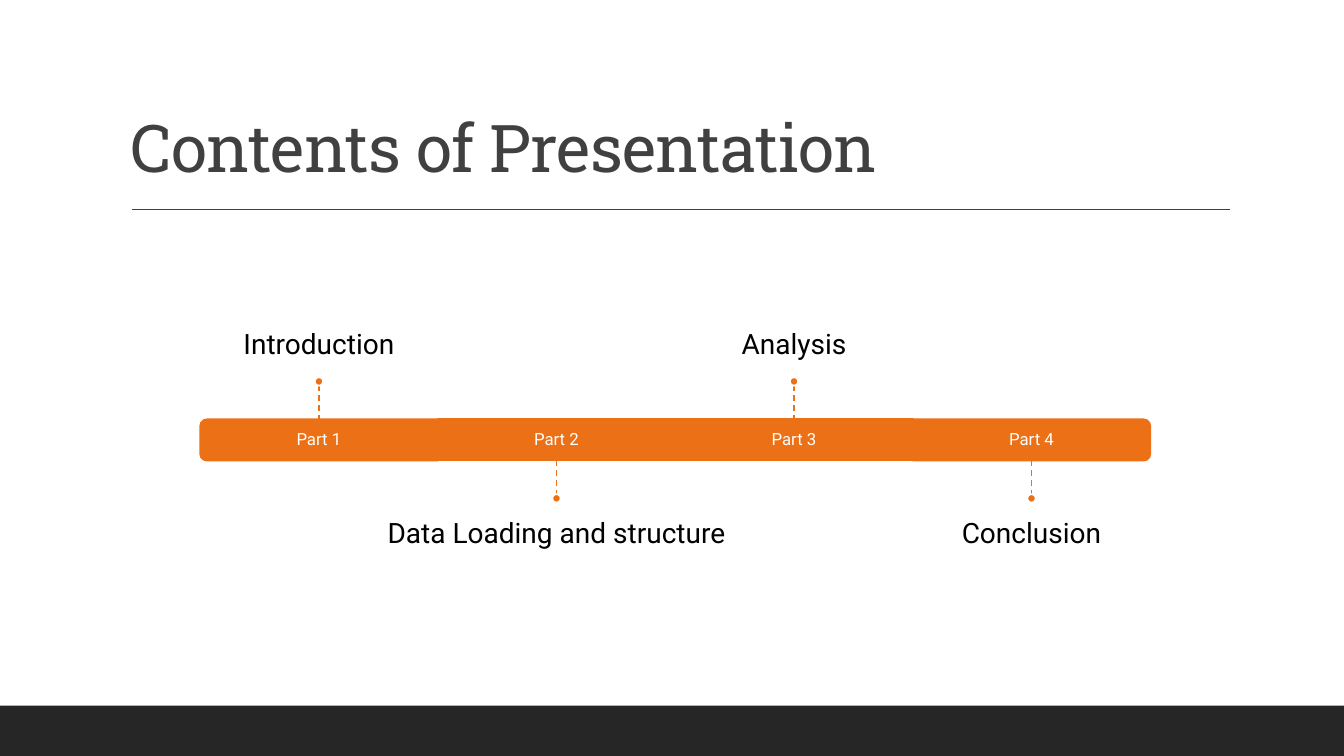
from lxml.etree import SubElement
from pptx import Presentation
from pptx.dml.color import RGBColor
from pptx.enum.dml import MSO_LINE
from pptx.enum.shapes import MSO_CONNECTOR, MSO_SHAPE as SHAPE
from pptx.enum.text import MSO_ANCHOR as ANCHOR, PP_ALIGN as ALIGN
from pptx.oxml.ns import qn
from pptx.util import Pt

ORANGE = RGBColor(0xEC, 0x70, 0x16)
WHITE = RGBColor(0xFF, 0xFF, 0xFF)
BLACK = RGBColor(0, 0, 0)
CHARCOAL = RGBColor(0x26, 0x26, 0x26)
GRAY = RGBColor(0x40, 0x40, 0x40)

PARTS = ["Introduction", "Data Loading and structure", "Analysis", "Conclusion"]
BAR_LEFT, BAR_TOP, BAR_HEIGHT, PART_WIDTH = 143, 299.5, 29.5, 169.67
STEM, DOT = 24, 6
LABEL_WIDTH, LABEL_HEIGHT, LABEL_GAP = 283, 104.5, 12


class TimelineSlide:
    """Draws styled elements on one slide, with all lengths in points."""

    def __init__(self, slide):
        self.shapes = slide.shapes

    def add_shape(self, kind, left, top, width, height, fill, outline=None, rotation=0):
        shape = self.shapes.add_shape(kind, Pt(left), Pt(top), Pt(width), Pt(height))
        shape.shadow.inherit = False
        shape.rotation = rotation
        shape.fill.solid()
        shape.fill.fore_color.rgb = fill
        if outline is None:
            shape.line.fill.background()
        else:
            shape.line.color.rgb = outline
            shape.line.width = Pt(1.25)
        return shape

    def add_line(self, x1, y1, x2, y2, color, dash=None):
        line = self.shapes.add_connector(
            MSO_CONNECTOR.STRAIGHT, Pt(x1), Pt(y1), Pt(x2), Pt(y2))
        line.line.color.rgb = color
        line.line.width = Pt(1)
        if dash is not None:
            line.line.dash_style = dash
        SubElement(line._element.spPr, qn("a:effectLst"))
        return line

    def add_text(self, text, left, top, width, height, size, color, anchor,
                 insets=(0, 0, 0, 0), font="Roboto", align=ALIGN.CENTER):
        box = self.shapes.add_textbox(Pt(left), Pt(top), Pt(width), Pt(height))
        frame = box.text_frame
        frame.word_wrap = True
        frame.vertical_anchor = anchor
        (frame.margin_left, frame.margin_top,
         frame.margin_right, frame.margin_bottom) = map(Pt, insets)
        frame.text = text
        paragraph = frame.paragraphs[0]
        paragraph.alignment = align
        paragraph.line_spacing = 0.9
        run = paragraph.runs[0]
        run.font.name = font
        run.font.size = Pt(size)
        run.font.color.rgb = color
        return run

    def add_title(self, text):
        run = self.add_text(text, 86.4, 22.3, 792, 114.5, 47, GRAY, ANCHOR.BOTTOM,
                            (7.2, 3.6, 7.2, 3.6), "Roboto Slab", ALIGN.LEFT)
        run.font._element.set("spc", "-50")

    def add_bar(self, index):
        left = BAR_LEFT + index * PART_WIDTH
        if 0 < index < len(PARTS) - 1:
            return self.add_shape(SHAPE.RECTANGLE, left, BAR_TOP, PART_WIDTH,
                                  BAR_HEIGHT, ORANGE, ORANGE)
        offset = (PART_WIDTH - BAR_HEIGHT) / 2
        self.add_shape(SHAPE.ROUND_2_SAME_RECTANGLE, left + offset, BAR_TOP - offset,
                       BAR_HEIGHT, PART_WIDTH, ORANGE, ORANGE, 90 if index else 270)
        return None

    def add_part(self, index, label):
        bar = self.add_bar(index)
        left = BAR_LEFT + index * PART_WIDTH
        center = left + PART_WIDTH / 2
        self.add_text(f"Part {index + 1}", left, BAR_TOP, PART_WIDTH, BAR_HEIGHT,
                      12, WHITE, ANCHOR.MIDDLE, (7.2,) * 4)

        above = index % 2 == 0
        if above:
            stem_top = BAR_TOP - STEM
            dot_top = stem_top - DOT
            label_top = dot_top - LABEL_HEIGHT
            anchor, insets = ANCHOR.BOTTOM, (0, 0, 0, LABEL_GAP)
        else:
            stem_top = BAR_TOP + BAR_HEIGHT
            dot_top = stem_top + STEM
            label_top = dot_top + DOT
            anchor, insets = ANCHOR.TOP, (0, LABEL_GAP, 0, 0)

        self.add_text(label, center - LABEL_WIDTH / 2, label_top, LABEL_WIDTH,
                      LABEL_HEIGHT, 20, BLACK, anchor, insets)
        stem = self.add_line(center, stem_top, center, stem_top + STEM,
                             ORANGE, MSO_LINE.DASH)
        if bar is not None and above:
            stem.end_connect(bar, 0)
        elif bar is not None:
            stem.begin_connect(bar, 2)
        self.add_shape(SHAPE.OVAL, center - DOT / 2, dot_top, DOT, DOT, ORANGE, WHITE)


def main():
    presentation = Presentation()
    presentation.slide_width, presentation.slide_height = Pt(960), Pt(540)
    slide = presentation.slides.add_slide(presentation.slide_layouts[6])
    timeline = TimelineSlide(slide)
    timeline.add_shape(SHAPE.RECTANGLE, 0, 504, 960, 36, CHARCOAL)
    timeline.add_line(94.3, 149.5, 878.8, 149.5, GRAY)
    timeline.add_title("Contents of Presentation")
    for index, label in enumerate(PARTS):
        timeline.add_part(index, label)
    presentation.save("out.pptx")


if __name__ == "__main__":
    main()
